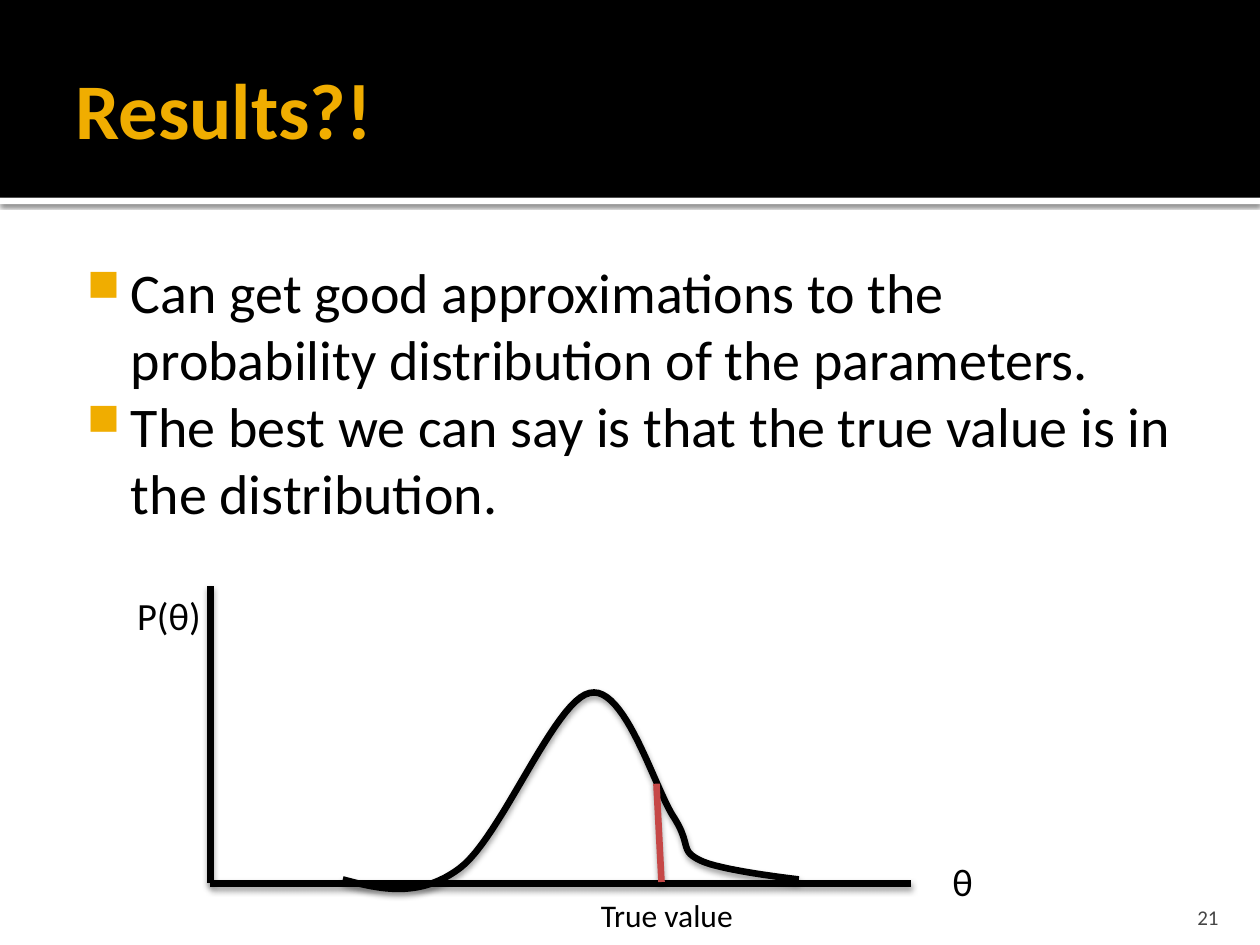
from lxml import etree
from pptx import Presentation
from pptx.dml.color import RGBColor
from pptx.enum.shapes import MSO_CONNECTOR, MSO_SHAPE
from pptx.enum.text import MSO_ANCHOR, PP_ALIGN
from pptx.oxml.ns import qn
from pptx.util import Inches, Pt

STRAIGHT, RECT = MSO_CONNECTOR.STRAIGHT, MSO_SHAPE.RECTANGLE
TOP, MIDDLE, BOTTOM = MSO_ANCHOR.TOP, MSO_ANCHOR.MIDDLE, MSO_ANCHOR.BOTTOM
LEFT, RIGHT = PP_ALIGN.LEFT, PP_ALIGN.RIGHT

THEME = {
    "font": "Calibri", "ink": "000000", "paper": "FFFFFF", "accent": "F0AD00",
    "marker": "C64847", "muted": "454545", "stroke": 3.78,
    "title": 45, "body": 32, "axis": 22, "label": 18, "number": 12,
}
# opacity %, blur pt, distance pt
BAND_SHADOW = (60, 2.5, 0.8)
LINE_SHADOW = (38, 3.5, 2)

TITLE = "Results?!"
BULLETS = [
    "Can get good approximations to the probability distribution of the parameters.",
    "The best we can say is that the true value is in the distribution.",
]
BAND_HEIGHT = 1.57
ORIGIN, Y_END, X_END = (1.67, 7.01), (1.67, 4.65), (7.23, 7.01)
TRUE_VALUE = ((5.25, 7), (5.21, 6.22))
LABELS = [  # text, box, size, wraps
    ("θ", (7.46, 6.76, 0.37, 0.47), "axis", False),
    ("P(θ)", (0.99, 4.65, 2.19, 0.47), "axis", True),
    ("True value", (4.67, 7.06, 1.5, 0.4), "label", True),
]
CURVE_START = (2.72, 6.98)
CURVE = [  # two control points and an end point per Bezier piece
    ((3.02, 7.06), (3.33, 7.13), (3.65, 6.89)),
    ((3.98, 6.64), (4.4, 5.56), (4.68, 5.5)),
    ((4.96, 5.43), (5.2, 6.27), (5.35, 6.49)),
    ((5.49, 6.71), (5.39, 6.75), (5.56, 6.83)),
    ((5.72, 6.91), (6.34, 6.98), (6.34, 6.98)),
]
CURVE_STEPS = 24


def color(name):
    return RGBColor.from_string(THEME[name])


def add_shadow(s, shadow):
    """Drop a black shadow straight down; call after fill and line are set."""
    opacity, blur, distance = shadow
    sp_pr = s._element.spPr
    for old in sp_pr.findall(qn("a:effectLst")):
        sp_pr.remove(old)
    effects = etree.SubElement(sp_pr, qn("a:effectLst"))
    outer = etree.SubElement(effects, qn("a:outerShdw"), blurRad=str(Pt(blur)),
                             dist=str(Pt(distance)), dir="5400000", rotWithShape="0")
    black = etree.SubElement(outer, qn("a:srgbClr"), val=THEME["ink"])
    etree.SubElement(black, qn("a:alpha"), val=str(opacity * 1000))


def add_band(slide, top, height, fill):
    s = slide.shapes.add_shape(RECT, 0, Inches(top), Inches(10), Inches(height))
    s.shadow.inherit = False
    s.fill.solid()
    s.fill.fore_color.rgb = color(fill)
    s.line.fill.background()
    return s


def style_stroke(s, stroke="ink"):
    s.line.color.rgb = color(stroke)
    s.line.width = Pt(THEME["stroke"])
    add_shadow(s, LINE_SHADOW)


def add_line(slide, start, end, stroke="ink"):
    s = slide.shapes.add_connector(STRAIGHT, *map(Inches, start + end))
    style_stroke(s, stroke)


def add_text(slide, texts, box, size, ink="ink", bold=False, wrap=True,
             anchor=TOP, align=LEFT, insets=(0.1, 0.05, 0.1, 0.05)):
    tf = slide.shapes.add_textbox(*map(Inches, box)).text_frame
    tf.word_wrap = wrap
    tf.vertical_anchor = anchor
    tf.margin_left, tf.margin_top, tf.margin_right, tf.margin_bottom = map(Inches, insets)
    for i, text in enumerate(texts):
        p = tf.add_paragraph() if i else tf.paragraphs[0]
        p.alignment = align
        r = p.add_run()
        r.text = text
        r.font.name = THEME["font"]
        r.font.size = Pt(THEME[size])
        r.font.bold = bold
        r.font.color.rgb = color(ink)
    return tf


def add_bullet(p):
    p_pr = p._p.get_or_add_pPr()
    p_pr.set("marL", str(Inches(0.48)))
    p_pr.set("indent", str(Inches(-0.35)))
    bullet_color = etree.SubElement(p_pr, qn("a:buClr"))
    etree.SubElement(bullet_color, qn("a:srgbClr"), val=THEME["accent"])
    etree.SubElement(p_pr, qn("a:buSzPct"), val="80000")
    etree.SubElement(p_pr, qn("a:buChar"), char="■")


def curve_points():
    """Sample the Bezier pieces, since a freeform takes straight segments."""
    start = CURVE_START
    for c1, c2, end in CURVE:
        for step in range(1, CURVE_STEPS + 1):
            t = step / CURVE_STEPS
            u = 1 - t
            yield tuple(
                Inches(u**3 * a + 3 * u * u * t * b + 3 * u * t * t * c + t**3 * d)
                for a, b, c, d in zip(start, c1, c2, end))
        start = end


def add_curve(slide):
    builder = slide.shapes.build_freeform(*map(Inches, CURVE_START))
    builder.add_line_segments(list(curve_points()), close=False)
    s = builder.convert_to_shape()
    s.fill.background()
    style_stroke(s)


def main():
    prs = Presentation()
    prs.slide_width, prs.slide_height = Inches(10), Inches(7.5)
    slide = prs.slides.add_slide(prs.slide_layouts[6])

    add_shadow(add_band(slide, BAND_HEIGHT, 0.05, "paper"), BAND_SHADOW)
    add_band(slide, 0, BAND_HEIGHT, "ink")
    add_text(slide, [TITLE], (0.5, 0.17, 9, 1.37), "title", "accent", bold=True,
             anchor=MIDDLE, insets=(0.1, 0.05, 0.05, 0.05))
    body = add_text(slide, BULLETS, (0.5, 1.94, 9, 5.06), "body",
                    insets=(0.06, 0.1, 0.1, 0.05))
    for p in body.paragraphs:
        add_bullet(p)

    add_line(slide, ORIGIN, Y_END)
    add_line(slide, ORIGIN, X_END)
    add_curve(slide)
    add_line(slide, *TRUE_VALUE, stroke="marker")
    for text, box, size, wrap in LABELS:
        add_text(slide, [text], box, size, wrap=wrap)
    add_text(slide, ["21"], (8.97, 7.08, 0.8, 0.3), "number", "muted",
             anchor=BOTTOM, align=RIGHT, insets=(0.1, 0.05, 0.1, 0))

    prs.save("out.pptx")


if __name__ == "__main__":
    main()
